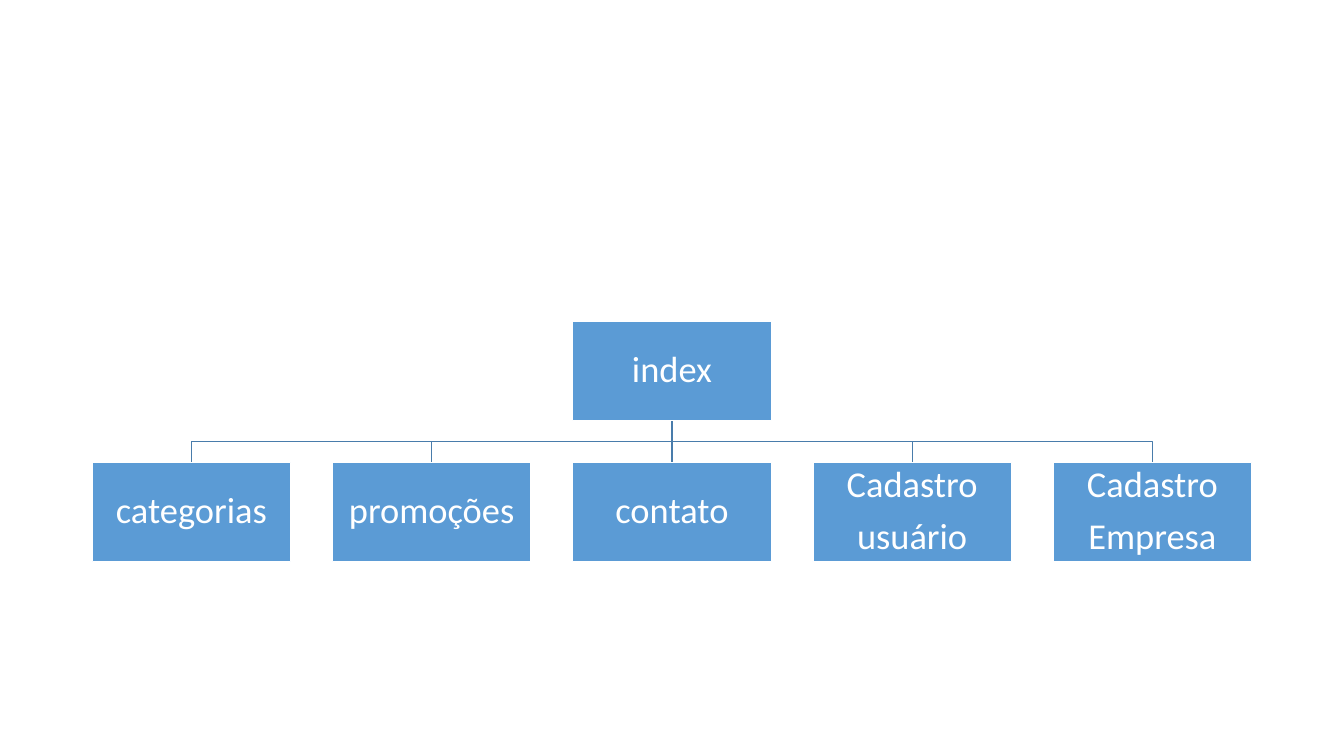
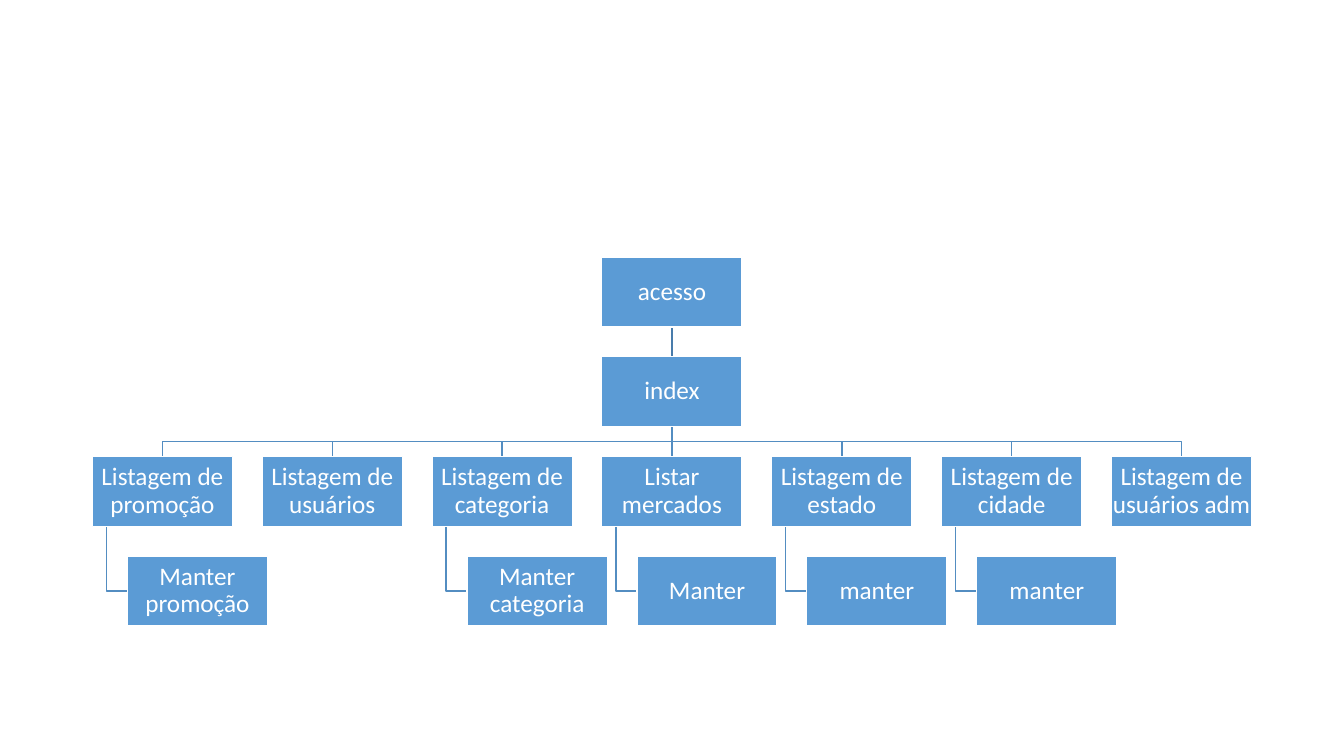
from dataclasses import dataclass

from lxml.etree import SubElement
from pptx import Presentation
from pptx.dml.color import RGBColor
from pptx.enum.shapes import MSO_CONNECTOR, MSO_SHAPE
from pptx.enum.text import MSO_ANCHOR, PP_ALIGN
from pptx.oxml.ns import qn
from pptx.util import Inches, Pt

SLIDE_WIDTH, SLIDE_HEIGHT = 13.33, 7.5
CHART_WIDTH = 11.5
CENTER_X, CENTER_Y = SLIDE_WIDTH / 2, 4.38
FONT = "Calibri"
COLORS = {
    "box": "5B9BD5",
    "edge": "FFFFFF",
    "text": "FFFFFF",
    "upper link": "497CAB",
    "lower link": "538DC1",
}

# Proportions of the site map, as shares of the box width
BOX_HEIGHT = 0.5
GAP = 0.21
CHILD_INDENT = 0.25
HOOK_INDENT = 0.1

PUBLIC_TRUNK = ["index"]
PUBLIC_PAGES = [
    ("categorias", None),
    ("promoções", None),
    ("contato", None),
    ("Cadastro\nusuário", None),
    ("Cadastro\nEmpresa", None),
]
ADMIN_TRUNK = ["acesso", "index"]
ADMIN_PAGES = [
    ("Listagem de promoção", "Manter promoção"),
    ("Listagem de usuários", None),
    ("Listagem de categoria", "Manter categoria"),
    ("Listar mercados", "Manter"),
    ("Listagem de estado", "manter"),
    ("Listagem de cidade", "manter"),
    ("Listagem de usuários adm", None),
]


@dataclass
class Grid:
    """Places boxes of one size in centred columns and rows."""

    columns: int
    rows: int

    @property
    def width(self):
        """Box width that lets all columns fill the chart."""
        return CHART_WIDTH / (self.columns + GAP * (self.columns - 1))

    @property
    def height(self):
        """Box height."""
        return BOX_HEIGHT * self.width

    def left(self, column):
        """Left edge of a column."""
        offset = column - (self.columns - 1) / 2
        return CENTER_X + offset * (1 + GAP) * self.width - self.width / 2

    def top(self, row):
        """Top edge of a row."""
        offset = row - (self.rows - 1) / 2
        return CENTER_Y + offset * (BOX_HEIGHT + GAP) * self.width - self.height / 2


def color(name):
    """Return a named colour."""
    return RGBColor.from_string(COLORS[name])


def add_page(slide, grid, left, top, label, size, inset):
    """Add the box of one page, one paragraph per line of its label."""
    page = slide.shapes.add_shape(
        MSO_SHAPE.RECTANGLE, Inches(left), Inches(top),
        Inches(grid.width), Inches(grid.height))
    page.shadow.inherit = False
    page.fill.solid()
    page.fill.fore_color.rgb = color("box")
    page.line.color.rgb = color("edge")
    page.line.width = Pt(1)
    frame = page.text_frame
    frame.word_wrap = True
    frame.vertical_anchor = MSO_ANCHOR.MIDDLE
    frame.margin_left = frame.margin_right = Inches(inset)
    frame.margin_top = frame.margin_bottom = Inches(inset)
    for index, words in enumerate(label.split("\n")):
        paragraph = frame.add_paragraph() if index else frame.paragraphs[0]
        paragraph.alignment = PP_ALIGN.CENTER
        paragraph.line_spacing = 0.9
        paragraph.space_after = Pt(0.35 * size)
        run = paragraph.add_run()
        run.text = words
        run.font.name = FONT
        run.font.size = Pt(size)
        run.font.color.rgb = color("text")


def add_link(slide, points, color_name):
    """Join points by a straight connector or, if there are more than two, a bent line."""
    corners = [(Inches(x), Inches(y)) for x, y in points]
    if len(corners) == 2:
        link = slide.shapes.add_connector(MSO_CONNECTOR.STRAIGHT, *corners[0], *corners[1])
        SubElement(link._element.spPr, qn("a:effectLst"))
    else:
        outline = slide.shapes.build_freeform(*corners[0])
        outline.add_line_segments(corners[1:], close=False)
        link = outline.convert_to_shape()
        link.shadow.inherit = False
        link.fill.background()
    link.line.color.rgb = color(color_name)
    link.line.width = Pt(1)


def add_drop(slide, grid, row, column, color_name):
    """Link the centred box of a row to a column in the row below."""
    start, end = grid.top(row) + grid.height, grid.top(row + 1)
    target = grid.left(column) + grid.width / 2
    points = [(CENTER_X, start), (target, end)]
    if abs(target - CENTER_X) > 0.01:
        bend = (start + end) / 2
        points[1:1] = [(CENTER_X, bend), (target, bend)]
    add_link(slide, points, color_name)


def add_hook(slide, grid, row, column):
    """Link a page to the child that hangs below it."""
    left = grid.left(column)
    stem = left + HOOK_INDENT * grid.width
    middle = grid.top(row + 1) + grid.height / 2
    add_link(slide, [(stem, grid.top(row) + grid.height), (stem, middle),
                     (left + CHILD_INDENT * grid.width, middle)], "lower link")


def add_site_map(prs, trunk, pages, size, inset):
    """Add a slide with a trunk of pages that fans out into a row of pages."""
    slide = prs.slides.add_slide(prs.slide_layouts[6])
    has_children = any(child for _, child in pages)
    grid = Grid(len(pages), len(trunk) + 1 + has_children)
    middle = (len(pages) - 1) / 2
    page_row = len(trunk)

    for row in range(page_row - 1):
        add_drop(slide, grid, row, middle, "upper link")
    fan_color = "upper link" if page_row == 1 else "lower link"
    for column, (_, child) in enumerate(pages):
        add_drop(slide, grid, page_row - 1, column, fan_color)
        if child:
            add_hook(slide, grid, page_row, column)

    for row, label in enumerate(trunk):
        add_page(slide, grid, grid.left(middle), grid.top(row), label, size, inset)
    for column, (label, child) in enumerate(pages):
        left = grid.left(column)
        add_page(slide, grid, left, grid.top(page_row), label, size, inset)
        if child:
            add_page(slide, grid, left + CHILD_INDENT * grid.width,
                     grid.top(page_row + 1), child, size, inset)


def main():
    """Build both site maps and save the presentation."""
    prs = Presentation()
    prs.slide_width = Inches(SLIDE_WIDTH)
    prs.slide_height = Inches(SLIDE_HEIGHT)
    add_site_map(prs, PUBLIC_TRUNK, PUBLIC_PAGES, size=26, inset=0.02)
    add_site_map(prs, ADMIN_TRUNK, ADMIN_PAGES, size=18, inset=0.01)
    prs.save("out.pptx")


main()
